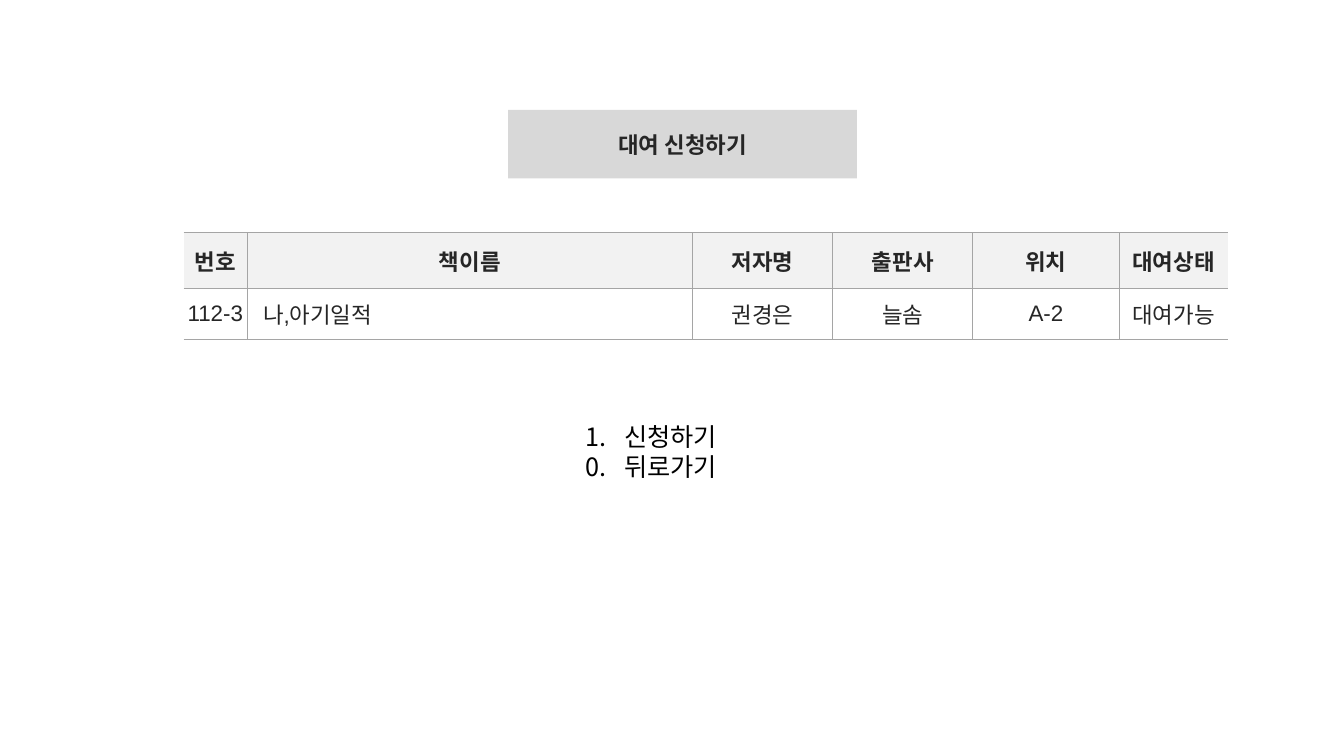
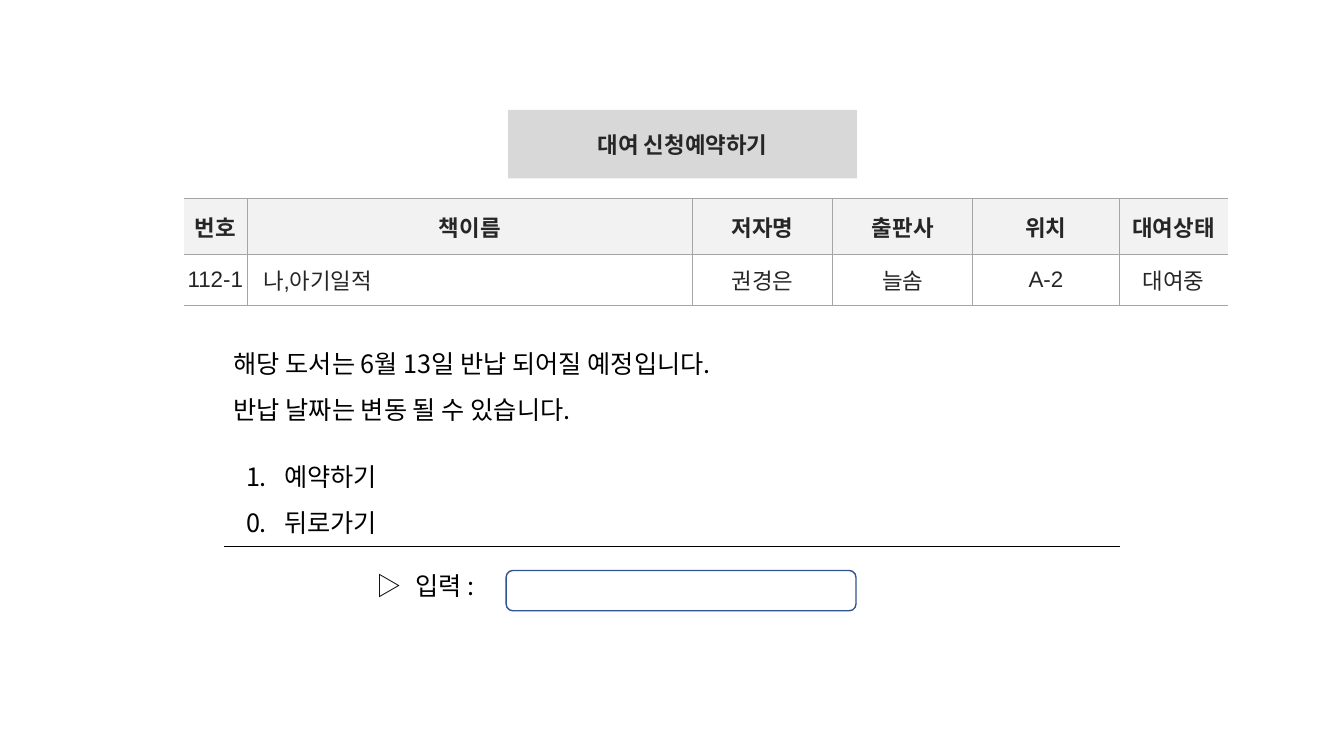
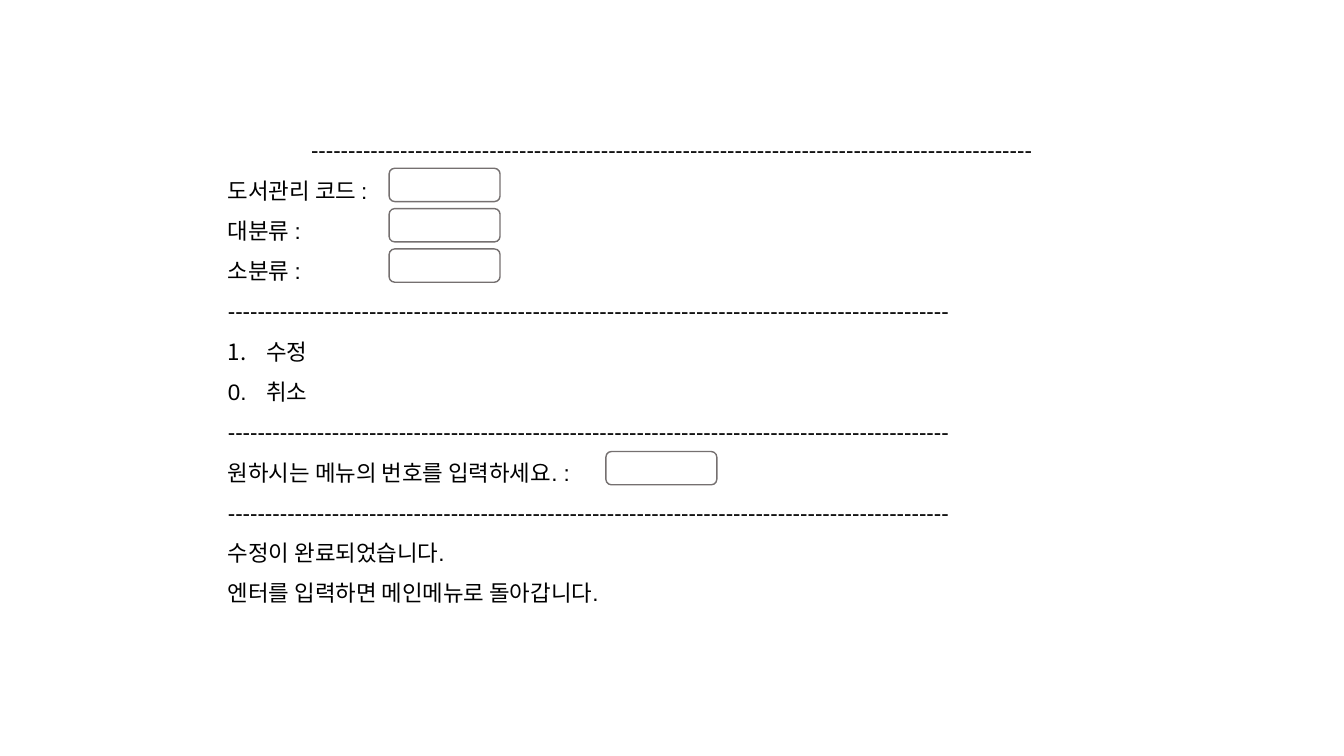
from lxml.etree import SubElement
from pptx import Presentation
from pptx.dml.color import RGBColor
from pptx.enum.shapes import MSO_CONNECTOR, MSO_SHAPE
from pptx.enum.text import MSO_ANCHOR, MSO_AUTO_SIZE, PP_ALIGN
from pptx.oxml.ns import qn
from pptx.util import Emu, Pt

PX = 9144  # 100 px to the inch
COLORS = {"text": "000000", "dark": "262626", "bar": "D8D8D8", "head": "F2F2F2",
          "paper": "FFFFFF", "grid": "A5A5A5", "input": "31538F", "field": "757070"}
KOREAN, LATIN = "Noto Sans CJK KR", "Arial"
HANGING = 38

COLUMNS = [("번호", 63), ("책이름", 442), ("저자명", 139),
           ("출판사", 139), ("위치", 145), ("대여상태", 108)]
ROW_HEIGHTS = [55, 51]
TABLE_LEFT = 182
TITLE_BAR = (504, 109, 346, 68)

# Paragraph kinds: plain, center, number (automatic 1.), tabbed (label, tab, words)
RENTAL = {
    "title": "대여 신청하기",
    "book": ["112-3", "나,아기일적", "권경은", "늘솜", "A-2", "대여가능"],
    "table_top": 231,
    "menu": [("number", "신청하기"), ("tabbed", "0.\t뒤로가기")],
    "menu_box": (571, 413, 606, 71),
    "spacing": 1,
}
RESERVATION = {
    "title": "대여 신청예약하기",
    "book": ["112-1", "나,아기일적", "권경은", "늘솜", "A-2", "대여중"],
    "table_top": 197,
    "menu": [("number", "예약하기"), ("tabbed", "0.\t뒤로가기")],
    "menu_box": (234, 438, 159, 95),
    "spacing": 1.5,
}
NOTICE = [("plain", "해당 도서는 6월 13일 반납 되어질 예정입니다."),
          ("plain", "반납 날짜는 변동 될 수 있습니다.")]
NOTICE_BOX = (222, 326, 550, 95)
PROMPT = [("tabbed", "▷\t입력 :")]
PROMPT_BOX = (364, 561, 184, 40)
INPUT_BOX = (502, 566, 347, 40)
DIVIDER = (222, 542, 1111, 542)

DASHES = "-" * 97
EDIT_SCREEN = [
    ("center", DASHES), ("plain", "도서관리 코드 :"), ("plain", "대분류 :"),
    ("plain", "소분류 :"), ("plain", DASHES), ("number", "수정"),
    ("tabbed", "0.\t취소"), ("plain", DASHES),
    ("plain", "원하시는 메뉴의 번호를 입력하세요. :"), ("plain", DASHES),
    ("plain", "수정이 완료되었습니다."), ("plain", "엔터를 입력하면 메인메뉴로 돌아갑니다."),
]
EDIT_BOX = (216, 117, 901, 490)
FIELD_SIZE = (110, 33)
FIELD_PLACES = [(386, 167 + 40 * row) for row in range(3)] + [(601, 448)]


def px(*lengths):
    return [Emu(length * PX) for length in lengths]


def rgb(name):
    return RGBColor.from_string(COLORS[name])


def place(shape, box):
    for side, length in zip(("left", "top", "width", "height"), px(*box)):
        setattr(shape, side, length)


def style(paragraph, color="text", font=KOREAN, **formats):
    """Format every run, with the Korean font for East Asian letters."""
    for run in paragraph.runs:
        for key, value in {"name": font, **formats}.items():
            setattr(run.font, key, value)
        run.font.color.rgb = rgb(color)
        SubElement(run.font._element, qn("a:ea"), typeface=KOREAN)


def write(frame, lines, spacing, size=18, font=KOREAN):
    for key, value in {"word_wrap": True, "auto_size": MSO_AUTO_SIZE.NONE,
                       "vertical_anchor": MSO_ANCHOR.TOP}.items():
        setattr(frame, key, value)
    for index, (kind, words) in enumerate(lines):
        paragraph = frame.paragraphs[0] if index == 0 else frame.add_paragraph()
        paragraph.text = words
        paragraph.alignment = PP_ALIGN.CENTER if kind == "center" else PP_ALIGN.LEFT
        paragraph.line_spacing = spacing
        paragraph.space_before = Pt(0)
        properties = paragraph._p.get_or_add_pPr()
        indent = HANGING * PX if kind in ("number", "tabbed") else 0
        properties.set("marL", str(indent))
        properties.set("indent", str(-indent))
        if kind == "number":
            SubElement(properties, qn("a:buAutoNum"), type="arabicPeriod")
        else:
            SubElement(properties, qn("a:buNone"))
        style(paragraph, font=font, size=Pt(size))


def add_text(slide, lines, box, spacing):
    write(slide.shapes.add_textbox(*px(*box)).text_frame, lines, spacing)


def add_field(slide, box, line, fill=None):
    field = slide.shapes.add_shape(MSO_SHAPE.ROUNDED_RECTANGLE, *px(*box))
    field.shadow.inherit = False
    if fill:
        field.fill.solid()
        field.fill.fore_color.rgb = rgb(fill)
    else:
        field.fill.background()
    field.line.color.rgb = rgb(line)
    field.line.width = Pt(1)


def add_divider(slide, ends):
    divider = slide.shapes.add_connector(MSO_CONNECTOR.STRAIGHT, *px(*ends))
    divider.line.color.rgb = rgb("text")
    divider.line.width = Pt(0.75)
    SubElement(divider._element.spPr, qn("a:effectLst"))


def set_borders(cell, hidden):
    """Draw grid lines on all sides but the hidden one."""
    properties = cell._tc.get_or_add_tcPr()
    for index, side in enumerate("LRTB"):
        border = SubElement(properties, qn(f"a:ln{side}"), w=str(Pt(0.75)))
        if side == hidden:
            SubElement(border, qn("a:noFill"))
        else:
            solid = SubElement(border, qn("a:solidFill"))
            SubElement(solid, qn("a:srgbClr"), val=COLORS["grid"])
        properties.insert(index, border)


def add_book_table(slide, book, top):
    names, widths = zip(*COLUMNS)
    box = (TABLE_LEFT, top, sum(widths), sum(ROW_HEIGHTS))
    table = slide.shapes.add_table(2, len(names), *px(*box)).table
    for column, width in zip(table.columns, px(*widths)):
        column.width = width
    for row, height in zip(table.rows, px(*ROW_HEIGHTS)):
        row.height = height
    open_sides = {0: "L", len(names) - 1: "R"}
    for row, words in enumerate((names, book)):
        for column, word in enumerate(words):
            cell = table.cell(row, column)
            cell.text = word
            book_name = row == 1 and column == 1
            for key, value in {"margin_left": 16 * PX if book_name else 0,
                               "margin_right": 0, "margin_top": 0, "margin_bottom": 0,
                               "vertical_anchor": MSO_ANCHOR.MIDDLE}.items():
                setattr(cell, key, value)
            cell.fill.solid()
            cell.fill.fore_color.rgb = rgb("paper" if row else "head")
            set_borders(cell, open_sides.get(column))
            paragraph = cell.text_frame.paragraphs[0]
            paragraph.alignment = PP_ALIGN.LEFT if book_name else PP_ALIGN.CENTER
            style(paragraph, "dark", LATIN, size=Pt(16), bold=row == 0)


def add_book_slide(deck, screen):
    slide = deck.slides.add_slide(deck.slide_layouts[1])
    title, menu = slide.placeholders
    place(title, TITLE_BAR)
    title.fill.solid()
    title.fill.fore_color.rgb = rgb("bar")
    title.text_frame.text = screen["title"]
    title.text_frame.vertical_anchor = MSO_ANCHOR.MIDDLE
    title.text_frame.auto_size = MSO_AUTO_SIZE.NONE
    style(title.text_frame.paragraphs[0], "dark", size=Pt(16), bold=True)
    place(menu, screen["menu_box"])
    write(menu.text_frame, screen["menu"], screen["spacing"])
    add_book_table(slide, screen["book"], screen["table_top"])
    return slide


def add_edit_slide(deck):
    slide = deck.slides.add_slide(deck.slide_layouts[1])
    title, body = slide.placeholders
    title._element.getparent().remove(title._element)
    place(body, EDIT_BOX)
    write(body.text_frame, EDIT_SCREEN, 1.5, size=16, font=LATIN)
    for corner in FIELD_PLACES:
        add_field(slide, corner + FIELD_SIZE, "field")


def main():
    deck = Presentation()
    deck.slide_width, deck.slide_height = px(1333, 750)
    add_book_slide(deck, RENTAL)
    reservation = add_book_slide(deck, RESERVATION)
    add_text(reservation, NOTICE, NOTICE_BOX, 1.5)
    add_divider(reservation, DIVIDER)
    add_field(reservation, INPUT_BOX, "input", "paper")
    add_text(reservation, PROMPT, PROMPT_BOX, 1)
    add_edit_slide(deck)
    deck.save("out.pptx")


if __name__ == "__main__":
    main()
